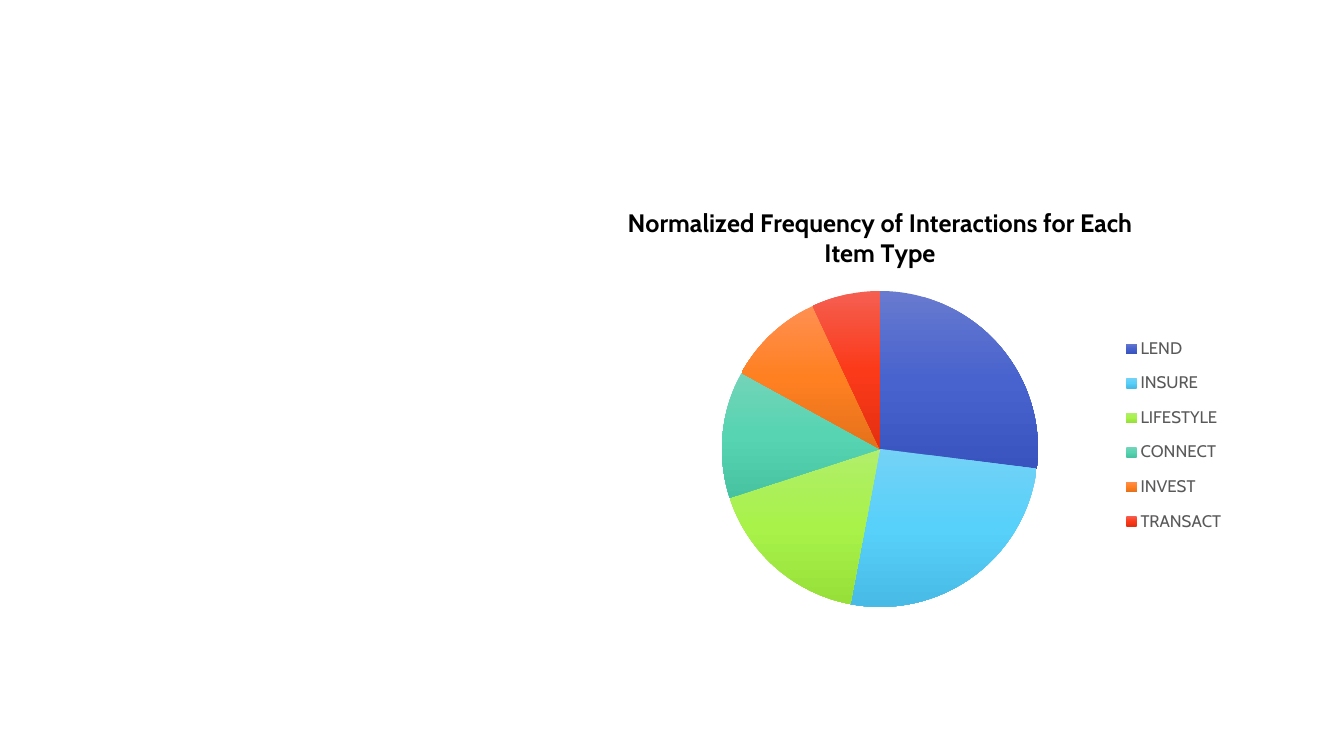
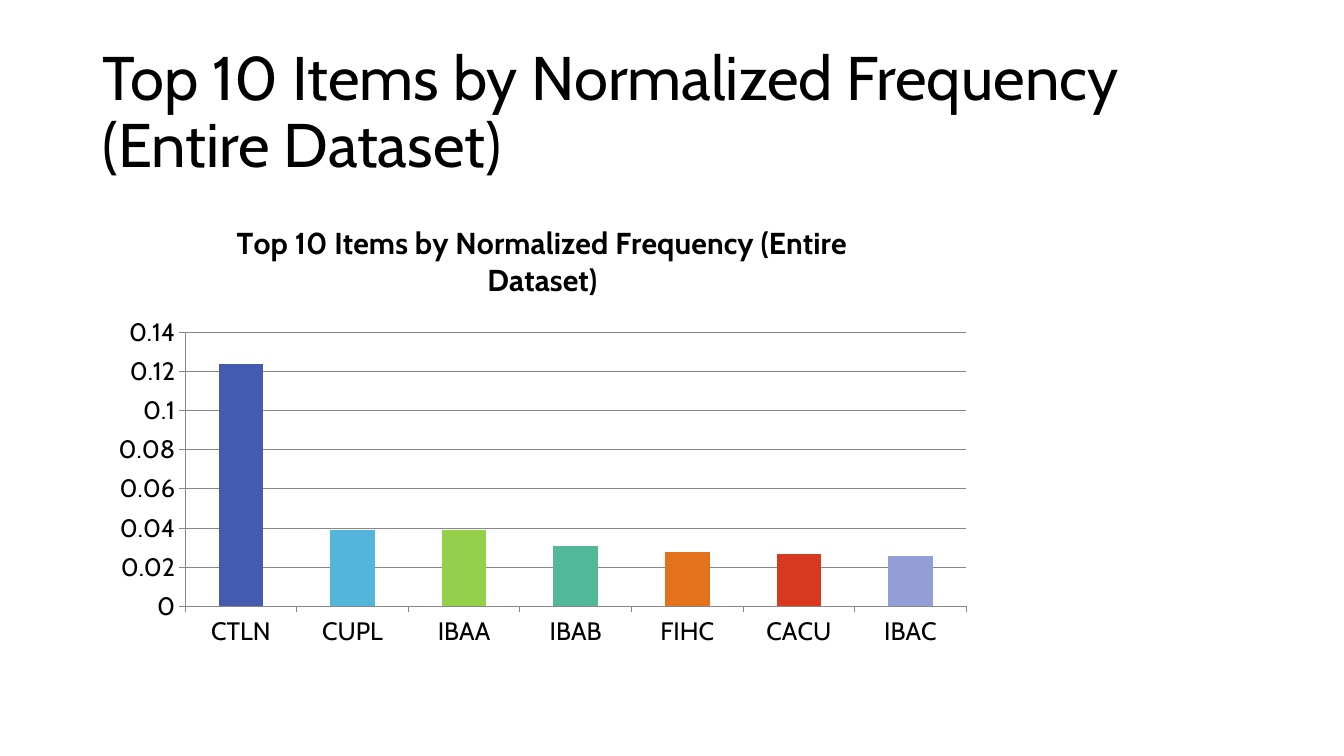
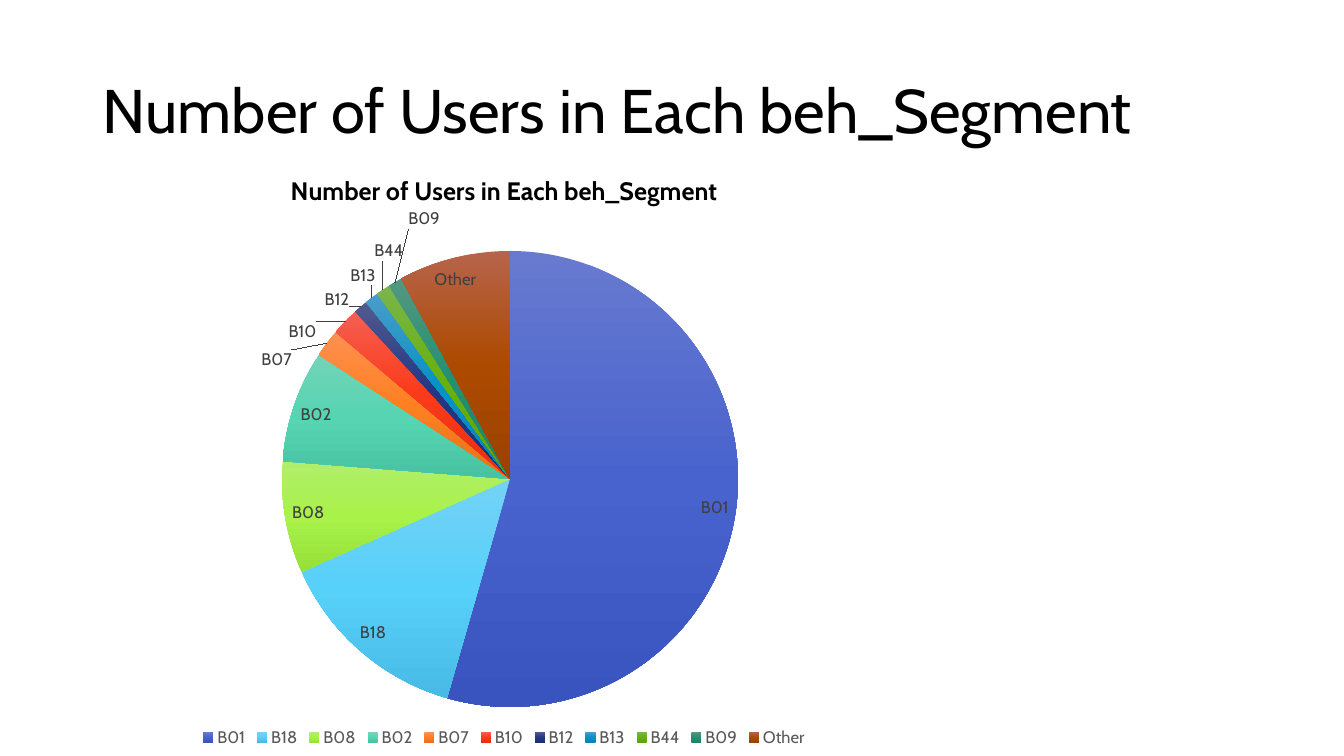
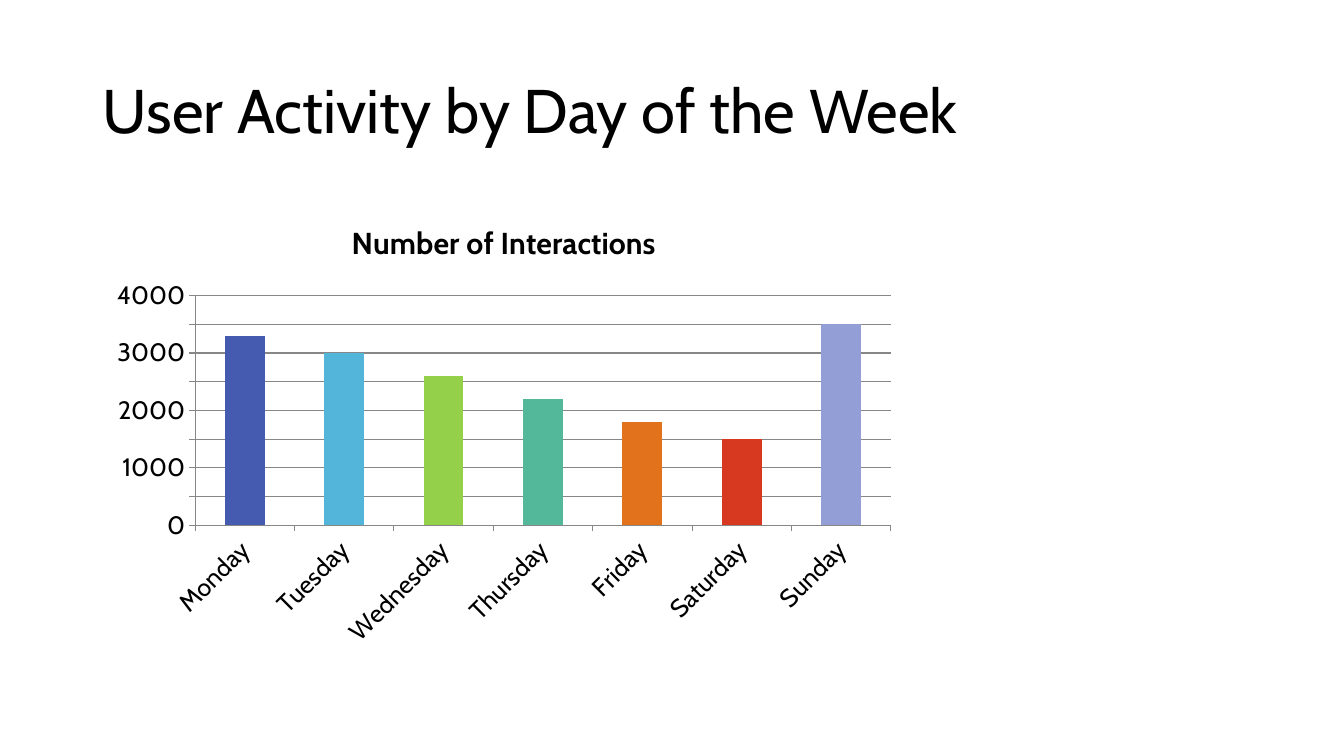
from copy import deepcopy

from pptx import Presentation
from pptx.chart.data import CategoryChartData
from pptx.dml.color import RGBColor
from pptx.enum.chart import XL_CHART_TYPE, XL_LABEL_POSITION, XL_LEGEND_POSITION, XL_TICK_MARK
from pptx.enum.text import MSO_ANCHOR
from pptx.oxml import parse_xml
from pptx.oxml.ns import nsdecls
from pptx.util import Pt

PX = 914400 / 100.8
FONT = "Cabin"
PIE, COLUMN = XL_CHART_TYPE.PIE, XL_CHART_TYPE.COLUMN_CLUSTERED
RIGHT, BOTTOM = XL_LEGEND_POSITION.RIGHT, XL_LEGEND_POSITION.BOTTOM
BEST_FIT = XL_LABEL_POSITION.BEST_FIT
TICK_OUT = XL_TICK_MARK.OUTSIDE
MIDDLE = MSO_ANCHOR.MIDDLE

BLACK = RGBColor(0x00, 0x00, 0x00)
WHITE = RGBColor(0xFF, 0xFF, 0xFF)
LEGEND_GREY = RGBColor(0x59, 0x59, 0x59)
LABEL_GREY = RGBColor(0x40, 0x40, 0x40)
LINE_GREY = RGBColor(0x87, 0x87, 0x87)
BAR_COLORS = [RGBColor.from_string(c) for c in (
    "455BB0", "53B5D9", "95D04A", "53B79A", "E2721C", "D63820", "939ED7")]
# Top, middle and bottom colour of each pie slice
SLICE_COLORS = [[RGBColor.from_string(c) for c in shades.split()] for shades in (
    "687ACF 4863CE 3954BE", "74D2F6 57D0FA 47BBE5", "B1EE6B A8F24A 96E039",
    "73D4B8 57D4B2 47C3A1", "FF8F51 FF8021 E5711B", "F55F51 FB3A1A E52F11",
    "515A8F 233784 1B2F79", "4B9CC7 0593C5 0085B4", "7AB54C 68B10D 5EA305",
    "529881 258F72 1C8367", "B6644B AD4A00 9A4200")]

# Boxes are left, top, width, height in px on the slide
SLIDES = [
    dict(heading=None, kind=PIE, box=(525, 186, 710, 470), plot=(722, 291, 316, 316),
         title="Normalized Frequency of Interactions for Each Item Type", title_size=18,
         legend=RIGHT, legend_box=(1122, 324, 104, 222), labels=False,
         values={"LEND": 27, "INSURE": 26, "LIFESTYLE": 17,
                 "CONNECT": 13, "INVEST": 10, "TRANSACT": 7}),
    dict(heading="Top 10 Items by Normalized Frequency (Entire Dataset)", kind=COLUMN,
         box=(101, 202, 883, 454),
         title="Top 10 Items by Normalized Frequency (Entire Dataset)", title_size=21.6,
         series="Series 1", scale=(0.14, 0.02), rotation=0,
         values={"CTLN": 0.124, "CUPL": 0.039, "IBAA": 0.039, "IBAB": 0.031,
                 "FIHC": 0.028, "CACU": 0.027, "IBAC": 0.026}),
    dict(heading="Number of Users in Each beh_Segment", kind=PIE,
         box=(101, 151, 806, 605), plot=(282, 251, 456, 456),
         title="Number of Users in Each beh_Segment", title_size=18,
         legend=BOTTOM, legend_box=(197, 735, 614, 22), labels=True,
         values={"B01": 55, "B18": 14, "B08": 8, "B02": 8, "B07": 2, "B10": 2,
                 "B12": 1, "B13": 1, "B44": 1, "B09": 1, "Other": 8}),
    dict(heading="User Activity by Day of the Week", kind=COLUMN,
         box=(101, 202, 806, 454),
         title="Number of Interactions", title_size=21.6,
         series="Number of Interactions", scale=(4000, 500), rotation=-45,
         values={"Monday": 3300, "Tuesday": 3000, "Wednesday": 2600, "Thursday": 2200,
                 "Friday": 1800, "Saturday": 1500, "Sunday": 3500}),
]


def write(frame, text, size=18, bold=False, color=BLACK, line_spacing=None):
    paragraph = frame.paragraphs[0]
    paragraph.line_spacing = line_spacing
    run = paragraph.add_run()
    run.text = text
    run.font.name, run.font.size, run.font.bold = FONT, Pt(size), bold
    run.font.color.rgb = color


def layout(chart_box, box, inner=False):
    """Manual chart layout for a box given in px on the slide."""
    left, top, width, height = chart_box
    parts = dict(x=(box[0] - left) / width, y=(box[1] - top) / height,
                 w=box[2] / width, h=box[3] / height)
    target = '<c:layoutTarget val="inner"/>' if inner else ""
    modes = '<c:xMode val="edge"/><c:yMode val="edge"/>'
    sizes = "".join(f'<c:{key} val="{part:.4f}"/>' for key, part in parts.items())
    return parse_xml(f'<c:layout {nsdecls("c")}><c:manualLayout>{target}{modes}{sizes}'
                     '</c:manualLayout></c:layout>')


deck = Presentation()
deck.slide_width, deck.slide_height = round(1344 * PX), round(756 * PX)

for content in SLIDES:
    slide = deck.slides.add_slide(deck.slide_layouts[6])
    slide.background.fill.solid()
    slide.background.fill.fore_color.rgb = WHITE

    # Heading
    if content["heading"]:
        heading = slide.shapes.add_textbox(*(round(n * PX) for n in (93, 41, 1159, 146)))
        heading.text_frame.word_wrap = True
        heading.text_frame.vertical_anchor = MIDDLE
        write(heading.text_frame, content["heading"], size=44, line_spacing=0.9)

    # Chart with its title
    is_pie = content["kind"] == PIE
    data = CategoryChartData()
    data.categories = list(content["values"])
    data.add_series(content.get("series", "Series 1"), list(content["values"].values()))
    box = content["box"]
    chart = slide.shapes.add_chart(
        content["kind"], *(round(n * PX) for n in box), data).chart
    chart.font.name, chart.font.size = FONT, Pt(10 if is_pie else 18)
    chart.font.color.rgb = BLACK
    chart.has_title = True
    write(chart.chart_title.text_frame, content["title"],
          size=content["title_size"], bold=True)
    chart.chart_title.include_in_layout = False
    plot = chart.plots[0]
    plot.vary_by_categories = is_pie
    points = plot.series[0].points

    if is_pie:
        # Place of the pie
        plot_area = chart._chartSpace.chart.plotArea
        for automatic in plot_area.xpath("c:layout"):
            plot_area.remove(automatic)
        plot_area.insert(0, layout(box, content["plot"], inner=True))

        # Slices shaded from top to bottom
        for index, shades in enumerate(SLICE_COLORS[:len(content["values"])]):
            fill = points[index].format.fill
            fill.gradient()
            stop_list = chart._chartSpace.xpath(".//a:gsLst")[-1]
            stop_list.append(deepcopy(stop_list[0]))
            for stop, position, shade in zip(fill.gradient_stops, (0, 0.5, 1), shades):
                stop.position, stop.color.rgb = position, shade
            fill.gradient_angle = 270

        # Legend
        chart.has_legend = True
        legend = chart.legend
        legend.position, legend.include_in_layout = content["legend"], False
        legend.font.name, legend.font.size = FONT, Pt(12)
        legend.font.color.rgb = LEGEND_GREY
        for automatic in legend._element.xpath("c:layout"):
            legend._element.remove(automatic)
        legend._element.xpath("c:legendPos")[0].addnext(layout(box, content["legend_box"]))

        # Slice names
        if content["labels"]:
            plot.has_data_labels = True
            labels = plot.data_labels
            labels.show_category_name, labels.show_value = True, False
            labels.show_percentage = False
            labels.position = BEST_FIT
            labels.font.name, labels.font.size = FONT, Pt(12)
            labels.font.color.rgb = LABEL_GREY
    else:
        # Bars
        chart.has_legend = False
        plot.gap_width = 150
        for index, color in enumerate(BAR_COLORS):
            points[index].format.fill.solid()
            points[index].format.fill.fore_color.rgb = color

        # Axes
        values_axis, names_axis = chart.value_axis, chart.category_axis
        values_axis.minimum_scale = 0
        values_axis.maximum_scale, values_axis.major_unit = content["scale"]
        values_axis.has_major_gridlines = True
        for axis in (values_axis, names_axis):
            axis.major_tick_mark = TICK_OUT
            axis.tick_labels.font.name = FONT
            axis.tick_labels.font.size = Pt(18)
            axis.tick_labels.font.color.rgb = BLACK
        for ruled in (values_axis, names_axis, values_axis.major_gridlines):
            ruled.format.line.color.rgb = LINE_GREY
            ruled.format.line.width = Pt(0.75)
        if content["rotation"]:
            body = names_axis._element.xpath("c:txPr/a:bodyPr")[0]
            body.set("rot", str(content["rotation"] * 60000))

deck.save("out.pptx")
